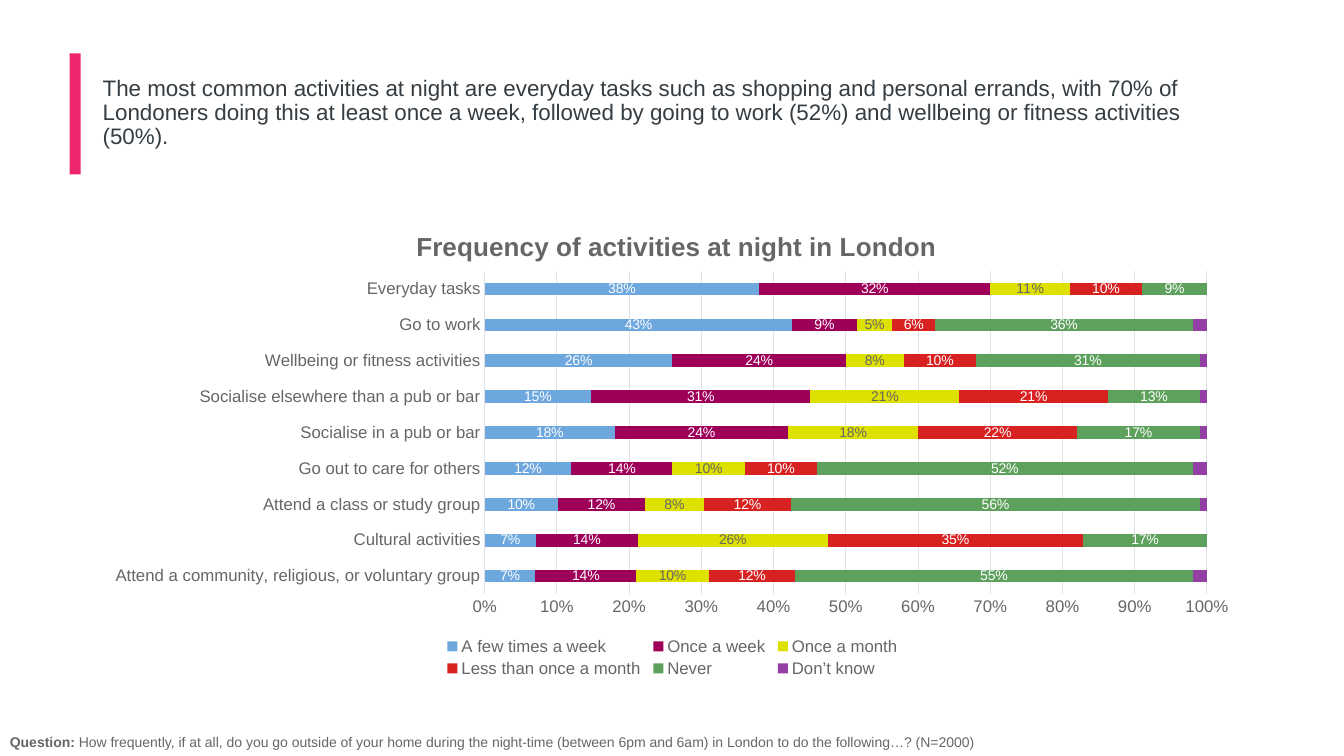
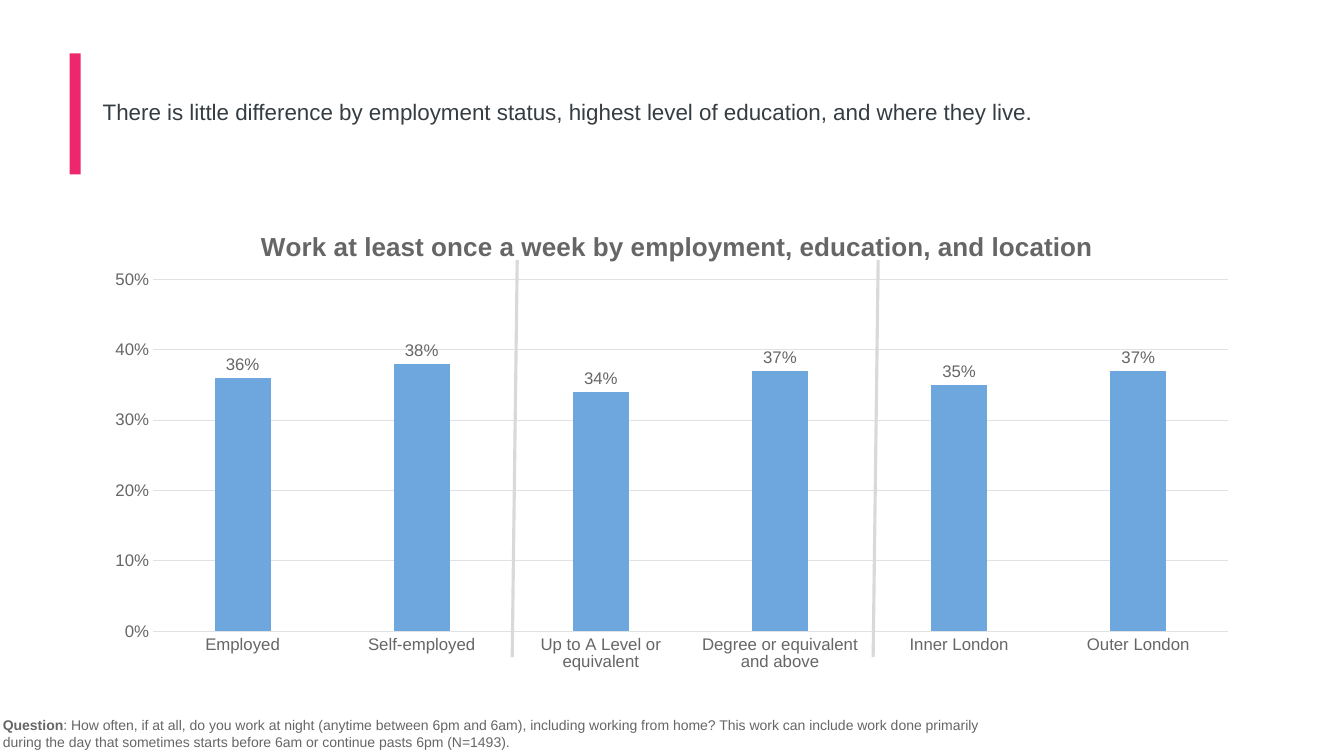
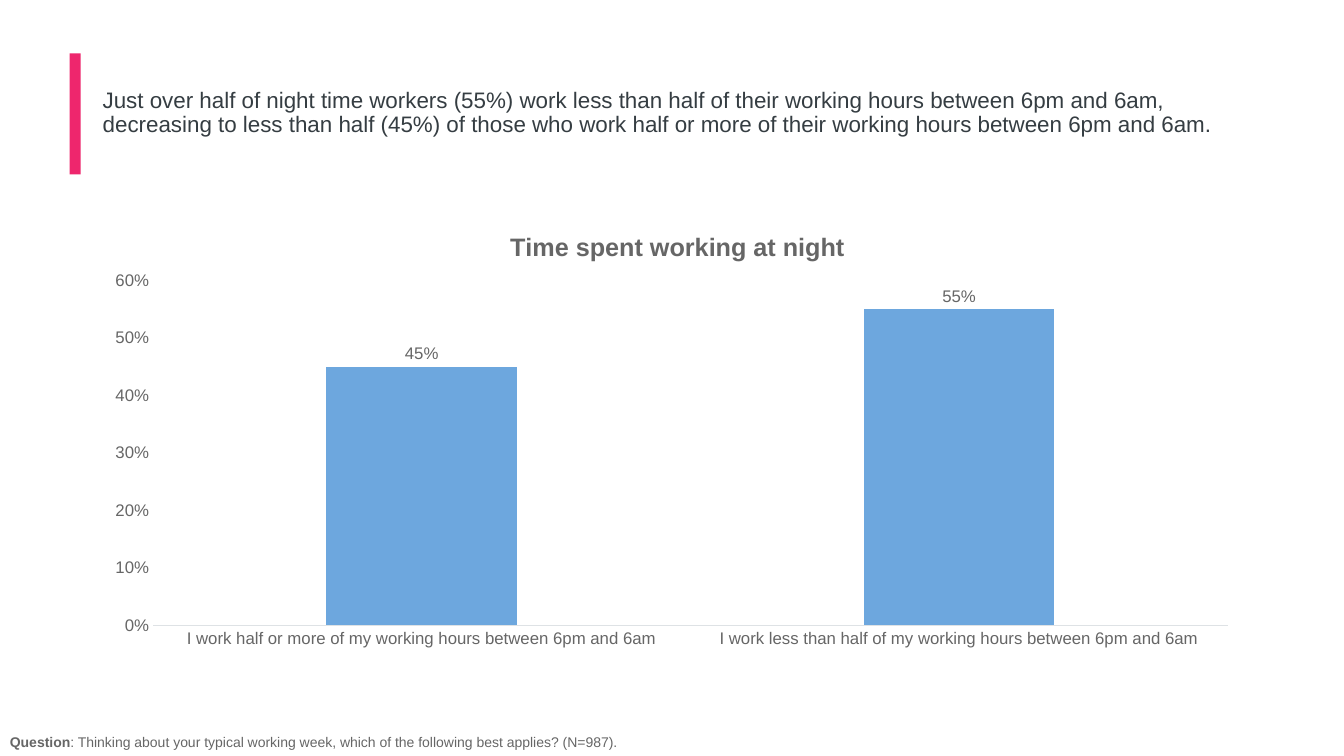
import pptx
import pptx.chart.data
import pptx.dml.color
import pptx.enum.chart
import pptx.enum.shapes
import pptx.enum.text
import pptx.oxml
import pptx.oxml.ns
import pptx.util

Inches = pptx.util.Inches
Pt = pptx.util.Pt
KIND = pptx.enum.chart.XL_CHART_TYPE
FONT = "Arial"
COLOURS = {
    "accent": "EE266D", "title": "353D42", "text": "666666", "white": "FFFFFF",
    "rule": "DEE2E5", "divider": "D9D9D9", "blue": "6DA7DE", "plum": "9E0059",
    "yellow": "DEE000", "red": "D82222", "green": "5EA15D", "purple": "943FA6",
}

# Content: frames are left, top, width, height as shares of the chart
SLIDES = [
    {
        "headline": "The most common activities at night are everyday tasks such as shopping and personal errands, with 70% of Londoners doing this at least once a week, followed by going to work (52%) and wellbeing or fitness activities (50%).",
        "question": ("Question: ", "How frequently, if at all, do you go outside of your home during the night-time (between 6pm and 6am) in London to do the following…? (N=2000)"),
        "question_at": (0, 7.23, 10.13, 0.27),
        "chart": {
            "kind": KIND.BAR_STACKED_100, "at": (0.92, 2, 11.5, 4.76),
            "title": "Frequency of activities at night in London", "title_size": 18.6,
            "title_frame": (0.275, 0.047), "plot_frame": (0.338, 0.145, 0.623, 0.673),
            "legend_frame": (0.3, 0.9, 0.4, 0.1),
            "maximum": 1, "grid": True, "format": "0%", "gap": 182, "overlap": 100,
            "label_size": 10,
            "categories": [
                "Attend a community, religious, or voluntary group", "Cultural activities",
                "Attend a class or study group", "Go out to care for others",
                "Socialise in a pub or bar", "Socialise elsewhere than a pub or bar",
                "Wellbeing or fitness activities", "Go to work", "Everyday tasks"],
            # name, fill, label colour, values
            "series": [
                ("A few times a week", "blue", "white", [0.07, 0.07, 0.1, 0.12, 0.18, 0.15, 0.26, 0.43, 0.38]),
                ("Once a week", "plum", "white", [0.14, 0.14, 0.12, 0.14, 0.24, 0.31, 0.24, 0.09, 0.32]),
                ("Once a month", "yellow", "text", [0.1, 0.26, 0.08, 0.1, 0.18, 0.21, 0.08, 0.05, 0.11]),
                ("Less than once a month", "red", "white", [0.12, 0.35, 0.12, 0.1, 0.22, 0.21, 0.1, 0.06, 0.1]),
                ("Never", "green", "white", [0.55, 0.17, 0.56, 0.52, 0.17, 0.13, 0.31, 0.36, 0.09]),
                ("Don’t know", "purple", None, [0.02, 0, 0.01, 0.02, 0.01, 0.01, 0.01, 0.02, 0])],
        },
    },
    {
        "headline": "There is little difference by employment status, highest level of education, and where they live.",
        "question": ("Question", ": How often, if at all, do you work at night (anytime between 6pm and 6am), including working from home? This work can include work done primarily during the day that sometimes starts before 6am or continue pasts 6pm (N=1493)."),
        "question_at": (-0.07, 7.06, 9.95, 0.44),
        "dividers": [5.13, 8.71],
        "chart": {
            "kind": KIND.COLUMN_CLUSTERED, "at": (0.92, 2, 11.5, 4.76),
            "title": "Work at least once a week by employment, education, and location", "title_size": 18.6,
            "title_frame": (0.141, 0.047), "plot_frame": (0.052, 0.162, 0.927, 0.734),
            "maximum": 0.5, "grid": True, "format": "0%", "gap": 219, "overlap": -27,
            "label_size": 12,
            "categories": ["Employed", "Self-employed", "Up to A Level or equivalent",
                           "Degree or equivalent and above", "Inner London", "Outer London"],
            "series": [("Series 1", "blue", "text", [0.36, 0.38, 0.34, 0.37, 0.35, 0.37])],
        },
    },
    {
        "headline": "Just over half of night time workers (55%) work less than half of their working hours between 6pm and 6am, decreasing to less than half (45%) of those who work half or more of their working hours between 6pm and 6am.",
        "question": ("Question", ": Thinking about your typical working week, which of the following best applies? (N=987)."),
        "question_at": (0, 7.23, 9.44, 0.27),
        "chart": {
            "kind": KIND.COLUMN_CLUSTERED, "at": (0.92, 2.03, 11.5, 4.48),
            "title": "Time spent working at night", "title_size": 18,
            "title_frame": (0.356, 0.046), "plot_frame": (0.052, 0.168, 0.927, 0.764),
            "maximum": 0.6, "grid": False, "format": "###0%", "gap": 182, "overlap": 0,
            "label_size": 12,
            "categories": ["I work half or more of my working hours between 6pm and 6am",
                           "I work less than half of my working hours between 6pm and 6am"],
            "series": [("Series 1", "blue", "text", [0.45, 0.55])],
        },
    },
]


def colour(name):
    return pptx.dml.color.RGBColor.from_string(COLOURS[name])


def style_font(font, size, name="text", bold=False):
    font.name, font.size, font.bold = FONT, Pt(size), bold
    font.color.rgb = colour(name)


def style_line(line, name, width):
    line.color.rgb = colour(name)
    line.width = Pt(width)


def add_text(page, at, spans, size, name="text", spacing=None, middle=False, grow=False):
    """Add one paragraph; spans are (text, bold) pairs."""
    box = page.shapes.add_textbox(*map(Inches, at))
    frame = box.text_frame
    frame.word_wrap = True
    if middle:
        frame.vertical_anchor = pptx.enum.text.MSO_ANCHOR.MIDDLE
    if grow:
        frame.auto_size = pptx.enum.text.MSO_AUTO_SIZE.SHAPE_TO_FIT_TEXT
    para = frame.paragraphs[0]
    para.line_spacing = spacing
    for text, bold in spans:
        span = para.add_run()
        span.text = text
        style_font(span.font, size, name, bold)


def place(chart, part, frame, index, inner=False):
    """Fix a chart part at a frame given as shares of the chart."""
    parent = chart.element.xpath("c:chart/c:" + part)[0]
    for old in parent.xpath("c:layout"):
        parent.remove(old)
    settings = [("layoutTarget", "inner")] if inner else []
    settings += [("xMode", "edge"), ("yMode", "edge")] + list(zip("xywh", frame))
    body = "".join(f'<c:{tag} val="{value}"/>' for tag, value in settings)
    parent.insert(index, pptx.oxml.parse_xml(
        f'<c:layout {pptx.oxml.ns.nsdecls("c")}><c:manualLayout>{body}</c:manualLayout></c:layout>'))


def add_bars(page, spec_):
    data = pptx.chart.data.CategoryChartData(number_format=spec_["format"])
    data.categories = spec_["categories"]
    for name, _, _, values in spec_["series"]:
        data.add_series(name, values)
    chart = page.shapes.add_chart(spec_["kind"], *map(Inches, spec_["at"]), data).chart
    style_font(chart.font, spec_["label_size"])

    # Title
    chart.has_title = True
    para = chart.chart_title.text_frame.paragraphs[0]
    span = para.add_run()
    span.text = spec_["title"]
    style_font(span.font, spec_["title_size"], bold=True)
    place(chart, "title", spec_["title_frame"], 1)
    place(chart, "plotArea", spec_["plot_frame"], 0, inner=True)

    # Legend
    chart.has_legend = "legend_frame" in spec_
    if chart.has_legend:
        chart.legend.position = pptx.enum.chart.XL_LEGEND_POSITION.BOTTOM
        chart.legend.include_in_layout = False
        style_font(chart.legend.font, 12)
        place(chart, "legend", spec_["legend_frame"], 1)

    # Axes
    for axis in (chart.category_axis, chart.value_axis):
        axis.major_tick_mark = axis.minor_tick_mark = pptx.enum.chart.XL_TICK_MARK.NONE
        style_font(axis.tick_labels.font, 12)
    style_line(chart.category_axis.format.line, "rule", 0.75)
    scale = chart.value_axis
    scale.format.line.fill.background()
    scale.minimum_scale, scale.maximum_scale, scale.major_unit = 0, spec_["maximum"], 0.1
    scale.tick_labels.number_format = spec_["format"]
    scale.tick_labels.number_format_is_linked = False
    scale.has_major_gridlines = spec_["grid"]
    if spec_["grid"]:
        style_line(scale.major_gridlines.format.line, "rule", 0.75)

    # Bars and their labels
    plot = chart.plots[0]
    plot.vary_by_categories = False
    plot.gap_width, plot.overlap = spec_["gap"], spec_["overlap"]
    for series, (_, fill, label_colour, _) in zip(plot.series, spec_["series"]):
        series.format.fill.solid()
        series.format.fill.fore_color.rgb = colour(fill)
        series.invert_if_negative = False
        if label_colour:
            labels = series.data_labels
            labels.show_value = True
            labels.number_format = spec_["format"]
            labels.number_format_is_linked = False
            style_font(labels.font, spec_["label_size"], label_colour)
            if spec_["kind"] == KIND.COLUMN_CLUSTERED:
                labels.position = pptx.enum.chart.XL_LABEL_POSITION.OUTSIDE_END


def add_divider(page, left):
    divider = page.shapes.add_connector(
        pptx.enum.shapes.MSO_CONNECTOR.STRAIGHT,
        *map(Inches, (left, 2.58, left - 0.05, 6.52)))
    style_line(divider.line, "divider", 2.25)
    divider.element.spPr.append(
        pptx.oxml.parse_xml(f'<a:effectLst {pptx.oxml.ns.nsdecls("a")}/>'))


def add_header(page, headline):
    band = page.shapes.add_shape(pptx.enum.shapes.MSO_SHAPE.RECTANGLE,
                                 *map(Inches, (0.69, 0.53, 0.11, 1.2)))
    band.shadow.inherit = False
    band.fill.solid()
    band.fill.fore_color.rgb = colour("accent")
    band.line.fill.background()
    add_text(page, (0.92, 0.4, 11.5, 1.45), [(headline, False)], 16, "title",
             spacing=0.9, middle=True)


def main():
    deck = pptx.Presentation()
    deck.slide_width, deck.slide_height = Inches(13.33), Inches(7.5)
    for content in SLIDES:
        page = deck.slides.add_slide(deck.slide_layouts[6])
        add_header(page, content["headline"])
        add_bars(page, content["chart"])
        for left in content.get("dividers", []):
            add_divider(page, left)
        lead, rest = content["question"]
        add_text(page, content["question_at"], [(lead, True), (rest, False)], 10, grow=True)
    deck.save("out.pptx")


if __name__ == "__main__":
    main()
